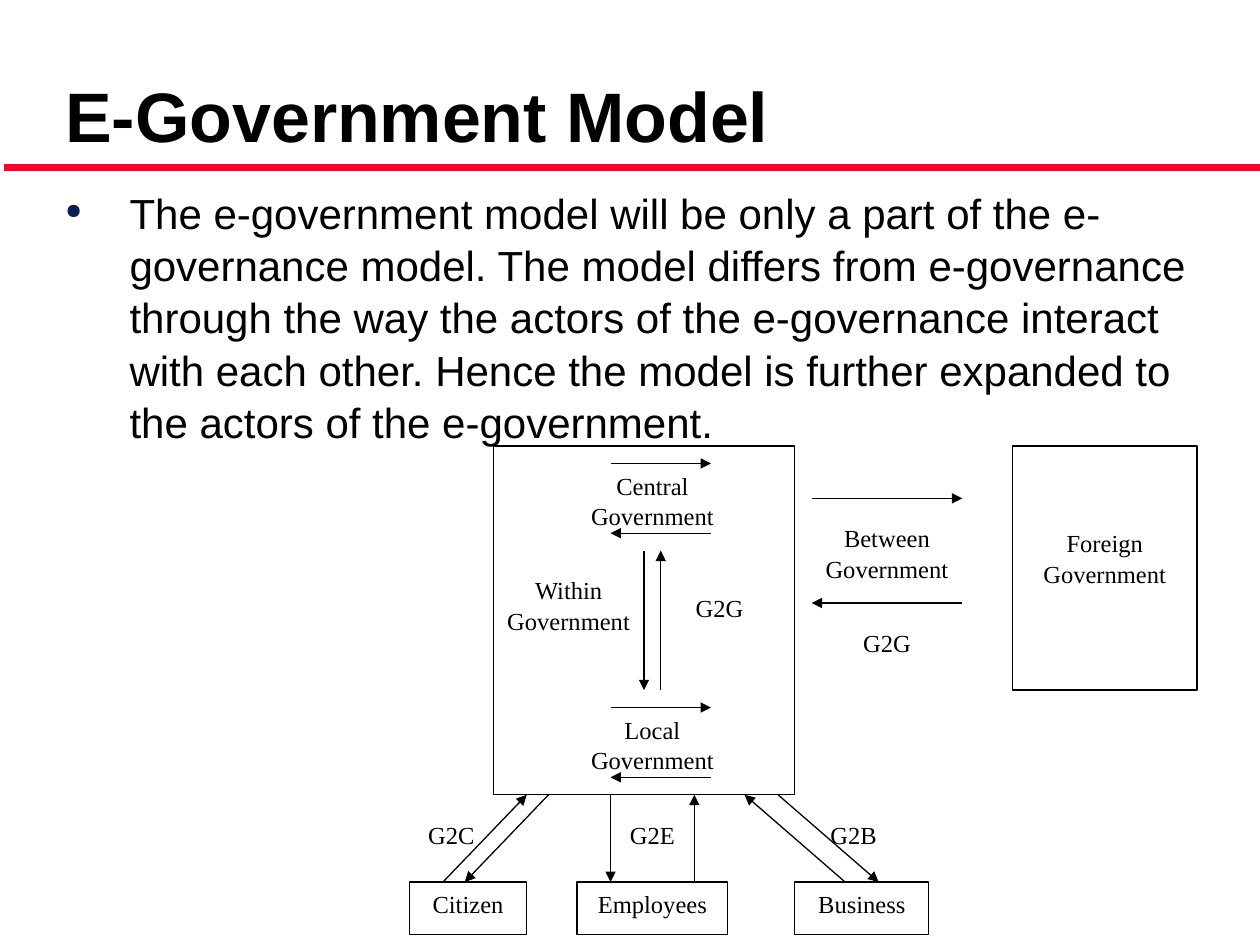
from pptx import Presentation
from pptx.dml.color import RGBColor
from pptx.enum.shapes import MSO_CONNECTOR, MSO_SHAPE
from pptx.enum.text import MSO_ANCHOR, PP_ALIGN
from pptx.oxml.ns import qn
from pptx.util import Inches, Pt
from lxml.etree import SubElement

HUES = {"ink": "000000", "paper": "FFFFFF", "rule": "FC0128", "dot": "081D58"}
TONE = {name: RGBColor.from_string(code) for name, code in HUES.items()}

# Diagram grid: origin, column width and row height in inches
LEFT, TOP = 3.25, 3.54
COL, ROW = 6.25 / 47, 3.46 / 25

deck = Presentation()
deck.slide_width, deck.slide_height = Inches(10), Inches(7.5)
slide = deck.slides.add_slide(deck.slide_layouts[6])
shapes = slide.shapes


def write(shape, text, font, anchor=MSO_ANCHOR.TOP, align=PP_ALIGN.LEFT):
    frame = shape.text_frame
    for key, value in {"word_wrap": True, "vertical_anchor": anchor}.items():
        setattr(frame, key, value)
    para = frame.paragraphs[0]
    para.text = text
    for key, value in {"alignment": align, "line_spacing": 1.04}.items():
        setattr(para, key, value)
    run = para.runs[0]
    for key, value in font.items():
        setattr(run.font, key, value)
    run.font.color.rgb = TONE["ink"]
    return para


def draw(ends, hue, width, arrow=True):
    line = shapes.add_connector(MSO_CONNECTOR.STRAIGHT, *[Inches(n) for n in ends])
    line.line.color.rgb = TONE[hue]
    line.line.width = Pt(width)
    if arrow:
        SubElement(line.line._get_or_add_ln(), qn("a:tailEnd"), type="triangle")
    SubElement(line._element.spPr, qn("a:effectLst"))


# Red rule under the title
draw((0.03, 1.33, 10, 1.33), "rule", 4, arrow=False)

# Title
head = shapes.add_textbox(*[Inches(n) for n in (0.42, 0.08, 9.17, 1.21)])
bold = {"name": "Arial", "size": Pt(40), "bold": True}
write(head, "E-Government Model", bold, MSO_ANCHOR.BOTTOM)

# Bulleted paragraph
body = shapes.add_textbox(*[Inches(n) for n in (0.42, 1.42, 9.2, 2.13)])
para = write(
    body,
    "The e-government model will be only a part of the e-governance model. "
    "The model differs from e-governance through the way the actors of the "
    "e-governance interact with each other. Hence the model is further "
    "expanded to the actors of the e-government.",
    {"name": "Arial", "size": Pt(24)},
)
props = para._p.get_or_add_pPr()
for key, value in {"marL": Inches(0.51), "indent": -Inches(0.51)}.items():
    props.set(key, str(int(value)))
SubElement(SubElement(props, qn("a:buClr")), qn("a:srgbClr"), val=HUES["dot"])
SubElement(props, qn("a:buSzPct"), val="50000")
SubElement(props, qn("a:buChar"), char="●")

# Boxes and labels: text, column, row, columns wide, rows high, fill, outline
boxes = [
    ("Central Government", 10, 1, 9, 4, True, False),
    ("Local Government", 10, 15, 9, 4, True, False),
    ("Between Government", 24, 4, 9, 4, True, False),
    ("G2G", 26, 10, 5, 2, True, False),
    ("G2G", 16, 8, 5, 2, True, False),
    ("Within Government", 5, 7, 9, 4, True, False),
    ("G2E", 12, 21, 5, 2, True, False),
    ("G2C", 0, 21, 5, 2, True, False),
    ("G2B", 24, 21, 5, 2, True, False),
    ("", 36, 0, 11, 14, True, True),
    ("Foreign Government", 37, 4.3, 9, 4, True, False),
    ("", 5, 0, 18, 20, False, True),
    ("Citizen", 0, 25, 7, 3, False, True),
    ("Employees", 10, 25, 9, 3, False, True),
    ("Business", 23, 25, 8, 3, False, True),
]
serif = {"name": "Times New Roman", "size": Pt(14)}
for text, col, row, wide, high, filled, edged in boxes:
    box = shapes.add_shape(
        MSO_SHAPE.RECTANGLE,
        Inches(LEFT + col * COL), Inches(TOP + row * ROW),
        Inches(wide * COL), Inches(high * ROW),
    )
    box.shadow.inherit = False
    if filled:
        box.fill.solid()
        box.fill.fore_color.rgb = TONE["paper"]
    else:
        box.fill.background()
    if edged:
        box.line.color.rgb = TONE["ink"]
        box.line.width = Pt(0.75)
    else:
        box.line.fill.background()
    if text:
        write(box, text, serif, align=PP_ALIGN.CENTER)

# Arrows: start column and row, end column and row
arrows = [
    # Between governments
    (24, 3, 33, 3), (33, 9, 24, 9),
    # Within government
    (15, 14, 15, 6), (14, 6, 14, 14),
    # Around the central and local labels
    (12, 1, 18, 1), (18, 5, 12, 5), (12, 15, 18, 15), (18, 19, 12, 19),
    # Citizen, employees, business
    (8.3, 20, 3.3, 25), (2, 25, 7, 20),
    (17, 25, 17, 20), (12, 20, 12, 25),
    (26, 25, 20, 20), (22, 20, 28, 25),
]
for x1, y1, x2, y2 in arrows:
    ends = (LEFT + x1 * COL, TOP + y1 * ROW, LEFT + x2 * COL, TOP + y2 * ROW)
    draw(ends, "ink", 0.75)

deck.save("out.pptx")
